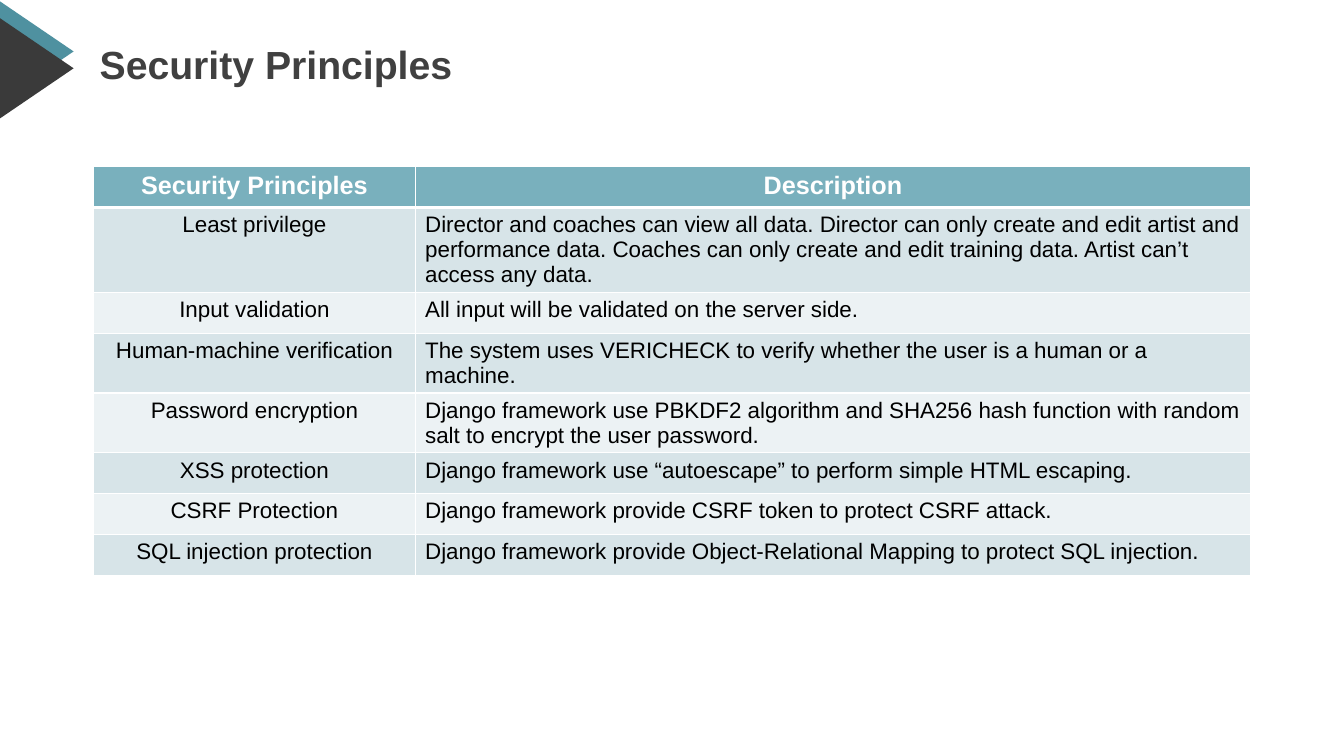
from lxml.etree import SubElement
from pptx import Presentation
from pptx.dml.color import RGBColor
from pptx.enum.text import MSO_ANCHOR, MSO_AUTO_SIZE, PP_ALIGN
from pptx.oxml.ns import qn
from pptx.util import Pt

COLORS = {
    "teal": "4F91A0",
    "charcoal": "3A3A3A",
    "title": "404040",
    "header": "79B0BD",
    "odd": "D7E4E8",
    "even": "ECF2F4",
    "white": "FFFFFF",
    "black": "000000",
}
FONT = "Arial"
PRINCIPLES = [
    ("Security Principles", "Description"),
    ("Least privilege",
     "Director and coaches can view all data. Director can only create and edit artist and "
     "performance data. Coaches can only create and edit training data. Artist can’t access any data."),
    ("Input validation", "All input will be validated on the server side."),
    ("Human-machine verification",
     "The system uses VERICHECK to verify whether the user is a human or a machine."),
    ("Password encryption",
     "Django framework use PBKDF2 algorithm and SHA256 hash function with random salt "
     "to encrypt the user password."),
    ("XSS protection", "Django framework use “autoescape” to perform simple HTML escaping."),
    ("CSRF Protection", "Django framework provide CSRF token to protect CSRF attack."),
    ("SQL injection protection",
     "Django framework provide Object-Relational Mapping to protect SQL injection."),
]


def color(name):
    return RGBColor.from_string(COLORS[name])


def add_span(para, text, size, ink, bold):
    span = para.add_run()
    span.text = text
    span.font.name = FONT
    span.font.size = Pt(size)
    span.font.bold = bold
    span.font.color.rgb = color(ink)


def add_corner_arrows(page, box):
    left, top, width, height = box
    for offset, fill in ((0, "teal"), (12, "charcoal")):
        start = top + offset
        builder = page.shapes.build_freeform(Pt(left), Pt(start))
        builder.add_line_segments([
            (Pt(left + width), Pt(start + height / 2)),
            (Pt(left), Pt(start + height)),
        ])
        arrow = builder.convert_to_shape()
        arrow.shadow.inherit = False
        arrow.fill.solid()
        arrow.fill.fore_color.rgb = color(fill)
        arrow.line.fill.background()


def add_title(page, box, text):
    title = page.shapes.title
    title.left, title.top, title.width, title.height = map(Pt, box)
    frame = title.text_frame
    frame.auto_size = MSO_AUTO_SIZE.NONE
    frame.word_wrap = True
    frame.vertical_anchor = MSO_ANCHOR.MIDDLE
    para = frame.paragraphs[0]
    para.alignment = PP_ALIGN.LEFT
    para.line_spacing = 0.9
    add_span(para, text, 28, "title", True)


def add_borders(cell, widths):
    properties = cell._tc.get_or_add_tcPr()
    for side, width in widths.items():
        line = SubElement(properties, qn(f"a:ln{side}"), w=str(Pt(width)))
        fill = SubElement(line, qn("a:solidFill"))
        SubElement(fill, qn("a:srgbClr"), val=COLORS["white"])


def add_principles_table(page, box, rows, first_width):
    left, top, width, row_height = box
    frame = page.shapes.add_table(len(rows), 2, Pt(left), Pt(top), Pt(width), Pt(row_height * len(rows)))
    table = frame.table
    table.columns[0].width = Pt(first_width)
    table.columns[1].width = Pt(width - first_width)
    for row_index, texts in enumerate(rows):
        table.rows[row_index].height = Pt(row_height)
        is_header = row_index == 0
        for column_index, text in enumerate(texts):
            cell = table.cell(row_index, column_index)
            add_borders(cell, {"L": 1, "R": 1, "T": 3 if row_index == 1 else 1, "B": 3 if is_header else 1})
            cell.fill.solid()
            cell.fill.fore_color.rgb = color("header" if is_header else "odd" if row_index % 2 else "even")
            para = cell.text_frame.paragraphs[0]
            centered = is_header or column_index == 0
            para.alignment = PP_ALIGN.CENTER if centered else PP_ALIGN.LEFT
            add_span(para, text, 18 if is_header else 16, "white" if is_header else "black", is_header)


def main():
    deck = Presentation()
    deck.slide_width = Pt(960)
    deck.slide_height = Pt(540)
    page = deck.slides.add_slide(deck.slide_layouts[5])
    add_corner_arrows(page, (0, 1, 52.6, 71.6))
    add_title(page, (64, 24.5, 380, 46.8), "Security Principles")
    add_principles_table(page, (67, 119, 826.5, 29.2), PRINCIPLES, 229.5)
    deck.save("out.pptx")


if __name__ == "__main__":
    main()
